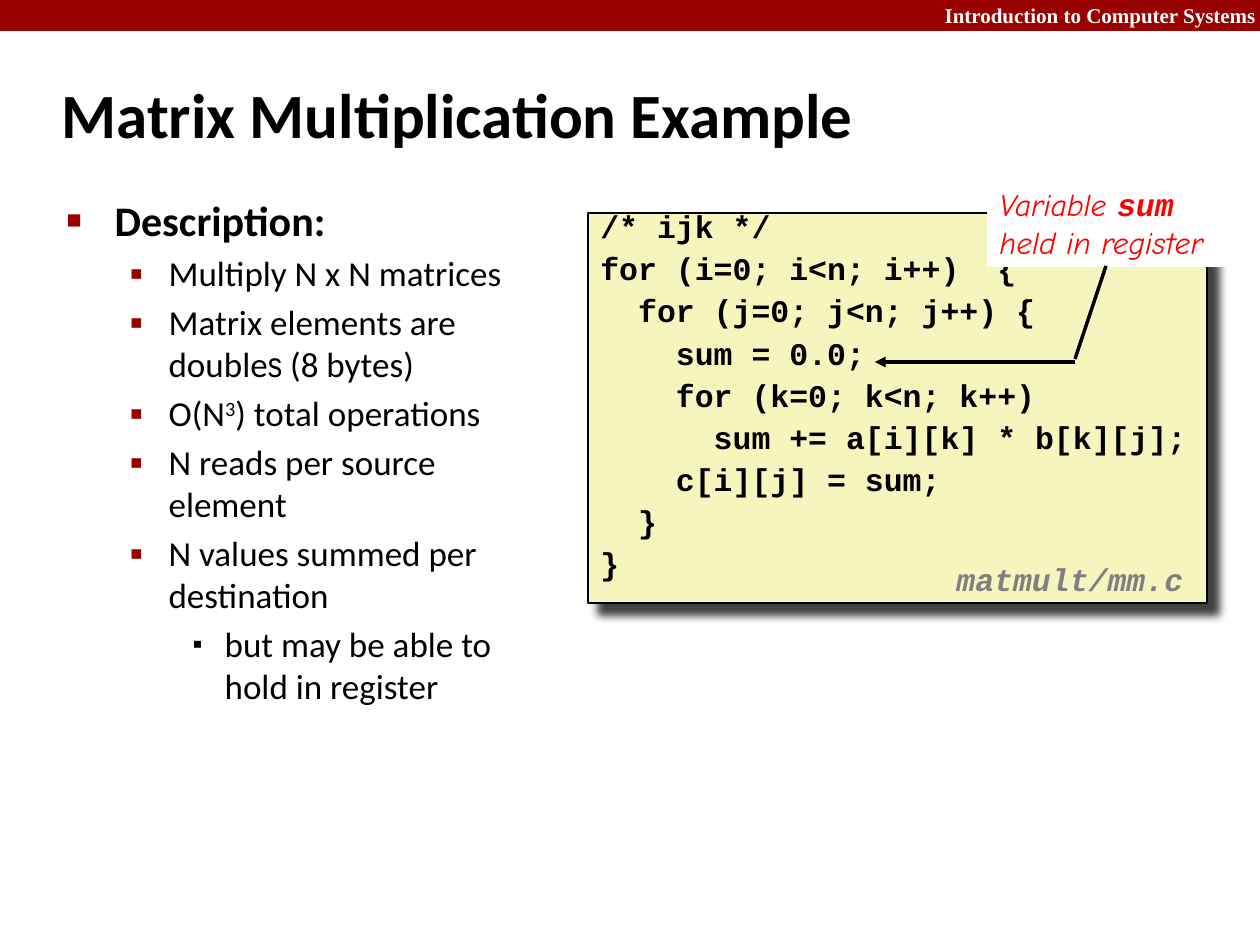
from lxml import etree
from pptx import Presentation
from pptx.dml.color import RGBColor
from pptx.enum.shapes import MSO_CONNECTOR, MSO_SHAPE
from pptx.enum.text import MSO_ANCHOR, MSO_AUTO_SIZE, PP_ALIGN
from pptx.oxml.ns import qn
from pptx.util import Emu, Inches, Pt

LEFT, RIGHT = PP_ALIGN.LEFT, PP_ALIGN.RIGHT
TOP, MIDDLE = MSO_ANCHOR.TOP, MSO_ANCHOR.MIDDLE
NO_AUTOFIT = MSO_AUTO_SIZE.NONE
RECTANGLE, STRAIGHT = MSO_SHAPE.RECTANGLE, MSO_CONNECTOR.STRAIGHT

PX = Inches(1) / 126
COLORS = {"crimson": "990000", "white": "FFFFFF", "black": "000000",
          "cream": "F6F5BD", "red": "FF0000", "gray": "808080"}
SANS, SERIF, CODE, NOTE = "Calibri", "Times New Roman", "Courier New", "Comic Neue"

# Per level: left margin px, hanging px, bullet, its size %, its colour, text pt, bold
LEVELS = [(48, 48, "■", 60, "crimson", 24, True),
          (102, 39, "▪", 110, "crimson", 20, False),
          (158, 32, "▪", 80, "black", 20, False)]

DESCRIPTION = [
    (0, ["Description:"]),
    (1, ["Multiply N x N matrices"]),
    (1, ["Matrix elements are double", "s", " (8 bytes)"]),
    (1, ["O(N", "3", ") total operations"]),
    (1, ["N reads per source element"]),
    (1, ["N values summed per destination"]),
    (2, ["but may be able to hold in register"]),
]

SOURCE_CODE = """/* ijk */
for (i=0; i<n; i++)  {
  for (j=0; j<n; j++) {
    sum = 0.0;
    for (k=0; k<n; k++)
      sum += a[i][k] * b[k][j];
    c[i][j] = sum;
  }
}"""


def px(length):
    return Emu(round(length * PX))


def rgb(name):
    return RGBColor.from_string(COLORS[name])


def style(font, name, size, color, bold=False, italic=False):
    font.name, font.size = name, Pt(size)
    font.bold, font.italic = bold, italic
    font.color.rgb = rgb(color)


def place(placeholder, box, anchor):
    placeholder.left, placeholder.top, placeholder.width, placeholder.height = map(px, box)
    frame = placeholder.text_frame
    frame.auto_size, frame.vertical_anchor = NO_AUTOFIT, anchor
    return frame


def add_panel(slide, box, fill, outlined=False):
    panel = slide.shapes.add_shape(RECTANGLE, *map(px, box))
    panel.shadow.inherit = False
    panel.fill.solid()
    panel.fill.fore_color.rgb = rgb(fill)
    if outlined:
        panel.line.color.rgb = rgb("black")
        panel.line.width = Pt(1)
    else:
        panel.line.fill.background()
    panel.text_frame.word_wrap = True
    panel.text_frame.vertical_anchor = TOP
    return panel


def add_label(slide, box, text, align, *look):
    frame = slide.shapes.add_textbox(*map(px, box)).text_frame
    frame.word_wrap = True
    label = frame.paragraphs[0]
    label.text, label.alignment = text, align
    style(label.font, *look)
    return frame


def add_header(slide, box):
    left, top, width, height = box
    add_panel(slide, box, "crimson")
    course = add_label(slide, (left + width - 504, top, 504, height),
                       "Introduction to Computer Systems", RIGHT, SERIF, 12, "white", True)
    course.vertical_anchor = MIDDLE
    course.margin_top = course.margin_bottom = 0
    course.margin_right = px(4)


def add_title(slide, box):
    title = place(slide.shapes.title, box, MIDDLE).paragraphs[0]
    title.text, title.alignment = "Matrix Multiplication Example", LEFT
    style(title.font, SANS, 36, "black", True)


def set_bullet(paragraph, margin, hanging, bullet, percent, color):
    properties = paragraph._p.get_or_add_pPr()
    properties.set("marL", str(px(margin)))
    properties.set("indent", str(-px(hanging)))
    bullet_color = etree.SubElement(properties, qn("a:buClr"))
    etree.SubElement(bullet_color, qn("a:srgbClr"), val=COLORS[color])
    etree.SubElement(properties, qn("a:buSzPct"), val=str(percent * 1000))
    etree.SubElement(properties, qn("a:buChar"), char=bullet)


def add_description(slide, box):
    frame = place(slide.placeholders[1], box, TOP)
    for index, (level, pieces) in enumerate(DESCRIPTION):
        item = frame.add_paragraph() if index else frame.paragraphs[0]
        *bullet, size, bold = LEVELS[level]
        item.level = level
        set_bullet(item, *bullet)
        item.space_before = Pt(4 if index else 0)
        style(item.font, SANS, size, "black", bold)
        for piece in pieces:
            run = item.add_run()
            run.text = piece
            if piece == "s":
                run.font.name = "Arial Narrow"
            elif piece == "3":
                run.font._element.set("baseline", "30000")


def cast_shadow(panel):
    effects = panel._element.spPr.find(qn("a:effectLst"))
    shadow = etree.SubElement(effects, qn("a:outerShdw"), blurRad=str(Pt(5)),
                              dist=str(Pt(8.5)), dir="2700000", algn="tl", rotWithShape="0")
    color = etree.SubElement(shadow, qn("a:srgbClr"), val=COLORS["black"])
    etree.SubElement(color, qn("a:alpha"), val="75000")


def add_code(slide, box):
    left, top, width, height = box
    panel = add_panel(slide, box, "cream", outlined=True)
    cast_shadow(panel)
    for index, code in enumerate(SOURCE_CODE.split("\n")):
        line = panel.text_frame.add_paragraph() if index else panel.text_frame.paragraphs[0]
        line.text, line.alignment = code, LEFT
        line.line_spacing = 0.65
        line.space_before = Pt(10 if index else 0)
        style(line.font, CODE, 18, "black", True)
    add_label(slide, (left + width - 263, top + height - 49, 263, 49),
              "matmult/mm.c", LEFT, CODE, 18, "gray", True, True)


def add_pointer(slide, start, end, arrow=False):
    pointer = slide.shapes.add_connector(STRAIGHT, *map(px, start + end))
    pointer.line.color.rgb = rgb("black")
    pointer.line.width = Pt(2)
    if arrow:
        etree.SubElement(pointer.line._get_or_add_ln(), qn("a:tailEnd"), type="triangle")
    etree.SubElement(pointer._element.spPr, qn("a:effectLst"))


def add_callout(slide, box):
    left, top, width, height = box
    frame = add_panel(slide, box, "white").text_frame
    first, second = frame.paragraphs[0], frame.add_paragraph()
    for line, text in ((first, "Variable "), (second, "held in register")):
        line.alignment = LEFT
        style(line.font, NOTE, 18, "red", italic=True)
        line.add_run().text = text
    variable = first.add_run()
    variable.text = "sum"
    variable.font.name, variable.font.bold = CODE, True
    # Bent pointer to the line that sets the variable
    elbow_x, elbow_y = left + 88, top + height + 95
    add_pointer(slide, (elbow_x, elbow_y), (elbow_x - 200, elbow_y), arrow=True)
    add_pointer(slide, (left + 119, top + height - 1), (elbow_x, elbow_y - 3))


def main():
    deck = Presentation()
    deck.slide_width, deck.slide_height = px(1260), px(945)
    slide = deck.slides.add_slide(deck.slide_layouts[1])
    add_header(slide, (0, 0, 1260, 31))
    add_title(slide, (49, 61, 1046, 104))
    add_description(slide, (54, 188, 502, 685))
    add_code(slide, (588, 213, 619, 390))
    add_callout(slide, (987, 179, 258, 88))
    deck.save("out.pptx")


if __name__ == "__main__":
    main()
